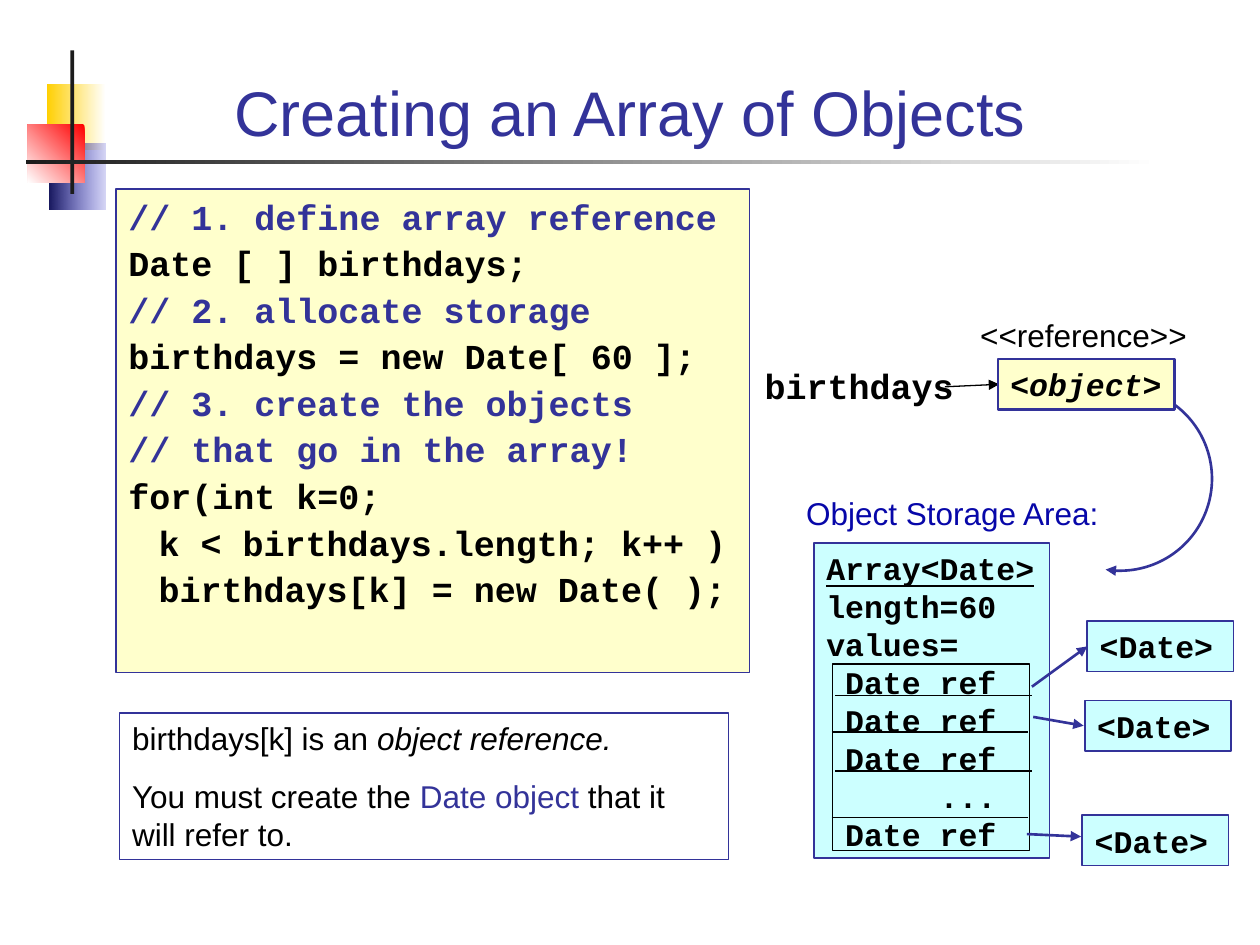
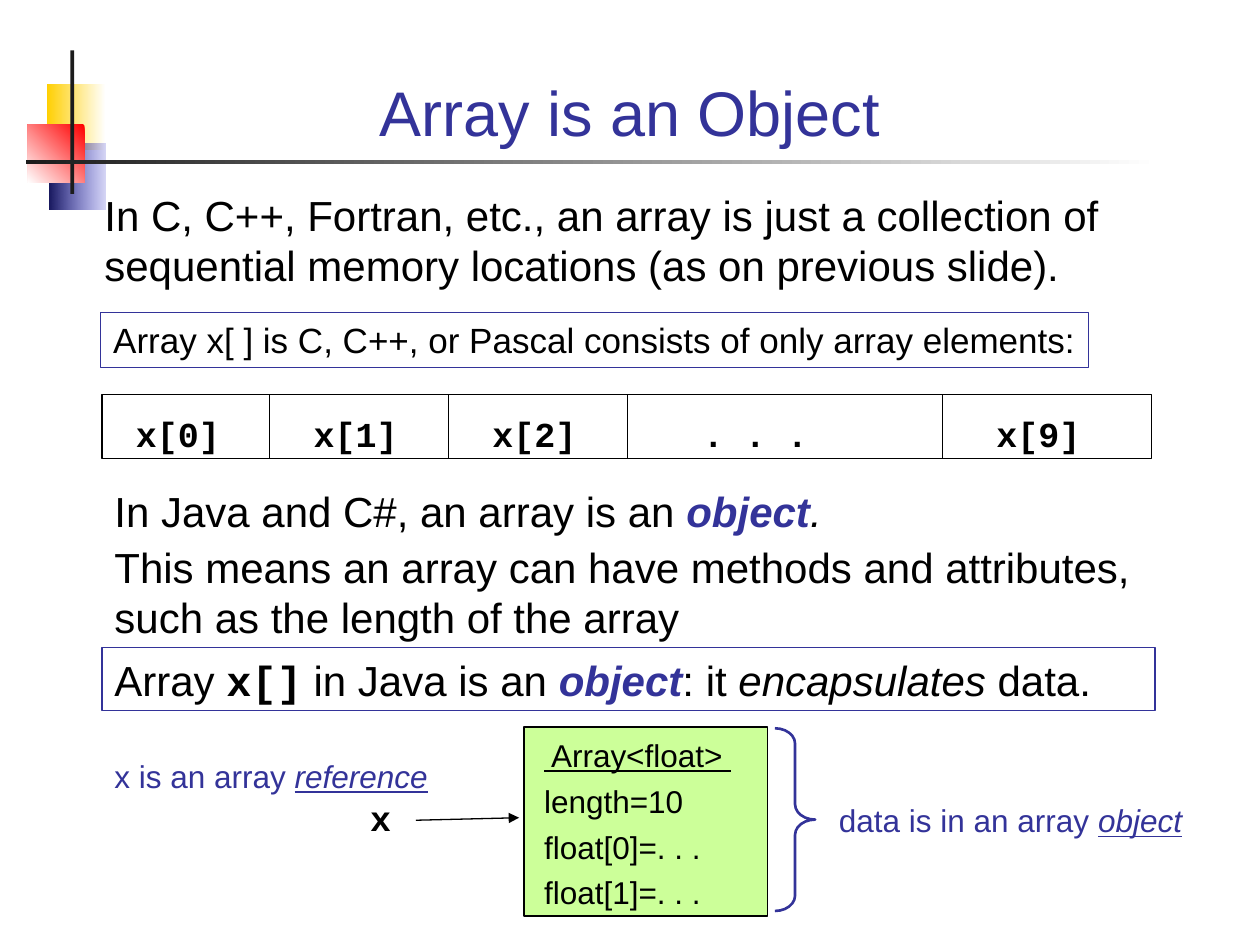
from lxml import etree
from pptx import Presentation
from pptx.dml.color import RGBColor
from pptx.enum.shapes import MSO_CONNECTOR, MSO_SHAPE
from pptx.enum.text import MSO_ANCHOR, PP_ALIGN
from pptx.oxml.ns import qn
from pptx.util import Pt

LEFT, MID = PP_ALIGN.LEFT, PP_ALIGN.CENTER
TOP, BASE = MSO_ANCHOR.TOP, MSO_ANCHOR.BOTTOM
RECT, ARC, BRACE = MSO_SHAPE.RECTANGLE, MSO_SHAPE.ARC, MSO_SHAPE.RIGHT_BRACE
STRAIGHT = MSO_CONNECTOR.STRAIGHT

# Shared style: 100 px to the inch
PX = 9144
SANS, MONO = "Arial", "Courier New"
NAVY, BLACK, DARK = "333399", "000000", "1C1C1C"
CREAM, AQUA, LIME, BLUE = "FFFFCC", "CCFFFF", "CCFF99", "0707A9"
LEAD = 1.205  # line height per point of text size
CODE = dict(font=MONO, bold=True)
TITLE_BOX = (67, 28, 866, 95)

# Corner squares and rules: box, first colour, last colour, angle
DECOR = [
    ((37, 67, 47, 52), "FFFFFF", "FFCF01", 180),
    ((39, 114, 45, 52), "3333CC", "17175E", 180),
    ((22, 99, 45, 46), "FF0000", "FFFFFF", 225),
    ((56, 40, 3, 114), DARK, DARK, 0),
    ((21, 127, 899, 3), "FFFFFF", DARK, 180),
]
FAINT = 1  # index of the square with a see-through first colour

# Slide 1 content; a run is a text or (text, format)
NOTE = dict(color=NAVY)
SLANT = dict(italic=True)
STRONG = dict(color=NAVY, bold=True, italic=True)
LINK = dict(italic=True, underline=True)

STEPS = [
    [("// 1. define array reference", NOTE)],
    "Date [ ] birthdays;",
    [("// 2. allocate storage", NOTE)],
    "birthdays = new Date[ 60 ];",
    [("// 3. create the objects", NOTE)],
    [("// that go in the array!", NOTE)],
    "for(int k=0;",
    "k < birthdays.length; k++ )",
    "birthdays[k] = new Date( );",
]
STEP_DENTS = [0] * 7 + [24] * 2
REMARK = [
    ["birthdays[k] is an ", ("object reference.", SLANT)],
    ["You must create the ", ("Date object", NOTE), " that it will refer to."],
]
STORE = [[("Array<Date>", dict(underline=True))], "length=60", "values=",
         "Date ref", "Date ref", "Date ref", "...", "Date ref"]
STORE_DENTS = [0, 0, 0, 15, 15, 15, 90, 15]
RULES = [(663, 552), (660, 581), (663, 612), (660, 649)]
RULE_WIDTH = 156
DATES = [(863, 493), (861, 556), (859, 647)]
REFS = [(819, 545, 863, 513), (820, 569, 860, 576), (815, 662, 858, 664)]

# Slide 2 content
INTRO = ["In C, C++, Fortran, etc., an array is just a collection of "
         "sequential memory locations (as on previous slide)."]
PLAIN = ["Array x[ ] is C, C++, or Pascal consists of only array elements:"]
CELLS = [("x[0]", 98, 87), ("x[1]", 239, 87), ("x[2]", 381, 87),
         (". . .", 548, 120), ("x[9]", 781, 87)]
WALLS = [214, 356, 498, 748]
ROW = (81, 313, 833, 51)
CLAIM = [
    ["In Java and C#, an array is an ", ("object", STRONG), (".", SLANT)],
    "This means an array can have methods and attributes, "
    "such as the length of the array",
]
SUMMARY = [["Array ", ("x[]", CODE), " in Java is an ", ("object", STRONG),
            ": it ", ("encapsulates", SLANT), " data."]]
FIELDS = [[(" Array<float> ", dict(underline=True))],
          "length=10", "float[0]=. . .", "float[1]=. . ."]
CAPTIONS = [("x is an array ", "reference", (81, 596, 276, 40)),
            ("data is in an array ", "object", (656, 631, 312, 40))]


def tint(code):
    return RGBColor.from_string(code)


def scale(nums):
    return [n * PX for n in nums]


def stroke(shape, color, width, arrow=False):
    shape.line.color.rgb = tint(color)
    shape.line.width = Pt(width)
    if arrow:
        ln = shape.element.xpath(".//a:ln")[0]
        etree.SubElement(ln, qn("a:tailEnd"), type="triangle")


def form(slide, kind, box, fill=None, line=None, width=0.75, arrow=False):
    shape = slide.shapes.add_shape(kind, *scale(box))
    shape.shadow.inherit = False
    if fill:
        shape.fill.solid()
        shape.fill.fore_color.rgb = tint(fill)
    else:
        shape.fill.background()
    if line:
        stroke(shape, line, width, arrow)
    else:
        shape.line.fill.background()
    return shape


def link(slide, ends, color=BLACK, width=0.75, arrow=False):
    line = slide.shapes.add_connector(STRAIGHT, *scale(ends))
    stroke(line, color, width, arrow)
    etree.SubElement(line.element.spPr, qn("a:effectLst"))


def style(run, size=18, font=SANS, color=BLACK, bold=False, italic=False,
          underline=False):
    face = run.font
    face.size, face.name, face.color.rgb = Pt(size), font, tint(color)
    face.bold, face.italic, face.underline = bold, italic, underline


def write(shape, paras, size=18, before=0, align=LEFT, anchor=TOP, wrap=True,
          dents=None, **look):
    frame = shape.text_frame
    frame.word_wrap, frame.vertical_anchor = wrap, anchor
    for i, runs in enumerate(paras):
        para = frame.paragraphs[0] if i == 0 else frame.add_paragraph()
        para.alignment = align
        para.space_before = Pt(before)
        para.line_spacing = Pt(size * LEAD)
        if dents:
            props = shape.element.xpath(".//a:pPr")[-1]
            props.set("marL", str(dents[i] * PX))
        for part in [runs] if isinstance(runs, str) else runs:
            words, extra = (part, {}) if isinstance(part, str) else part
            run = para.add_run()
            run.text = words
            style(run, **{"size": size, **look, **extra})


def label(slide, paras, box, **look):
    write(slide.shapes.add_textbox(*scale(box)), paras, **look)


def panel(slide, paras, box, fill=None, line=NAVY, width=0.75, **look):
    write(form(slide, RECT, box, fill, line, width), paras, **look)


def decorate(slide, layout):
    """Draw the corner motif and move it to the shared layout."""
    for i, (box, first, last, angle) in enumerate(DECOR):
        shape = form(slide, RECT, box, fill=first)
        if first != last:
            shape.fill.gradient()
            shape.fill.gradient_angle = angle
            for stop, color in zip(shape.fill.gradient_stops, (first, last)):
                stop.color.rgb = tint(color)
        if i == FAINT:
            color = shape.element.xpath(".//a:gs/a:srgbClr")[0]
            etree.SubElement(color, qn("a:alpha"), val="20000")
        shape.element.xpath(".//p:cNvPr")[0].set("id", str(100 + i))
        layout.shapes.element.insert(2 + i, shape.element)


def start(deck, title):
    slide = deck.slides.add_slide(deck.slide_layouts[5])
    head = slide.shapes.title
    head.left, head.top, head.width, head.height = scale(TITLE_BOX)
    write(head, [title], size=36, color=NAVY, align=MID, anchor=BASE)
    return slide


def create(slide):
    # Code and remark
    panel(slide, STEPS, (92, 150, 503, 384), fill=CREAM, size=20, before=2.5,
          dents=STEP_DENTS, **CODE)
    panel(slide, REMARK, (95, 566, 483, 116), before=11.2)

    # Variable and its reference
    link(slide, (750, 307, 793, 305), arrow=True)
    label(slide, ["birthdays"], (597, 284, 170, 44), size=20, before=12.5,
          wrap=False, **CODE)
    arc = form(slide, ARC, (816, 307, 146, 146), line=NAVY, width=1.5,
               arrow=True)
    for i, angle in enumerate((270, 99)):
        arc.adjustments[i] = angle * 0.6
    panel(slide, [["<", ("object", SLANT), ">"]], (792, 285, 140, 40),
          fill=CREAM, width=1.5, before=4.5, wrap=False, **CODE)
    label(slide, ["<<reference>>"], (768, 246, 184, 40), before=11.2,
          align=MID, wrap=False)

    # Storage area
    label(slide, ["Object Storage Area:"], (630, 387, 277, 40), before=11.2,
          color=BLUE)
    panel(slide, STORE, (646, 431, 187, 250), fill=AQUA, dents=STORE_DENTS,
          **CODE)
    form(slide, RECT, (661, 527, 156, 148), line=BLACK)
    for x, y in RULES:
        link(slide, (x, y, x + RULE_WIDTH, y))
    for x, y in DATES:
        panel(slide, ["<Date>"], (x, y, 116, 40), fill=AQUA, width=1,
              before=11.2, **CODE)
    for ends in REFS:
        link(slide, ends, color=NAVY, width=1.5, arrow=True)


def explain(slide):
    # Statements
    label(slide, INTRO, (73, 145, 839, 90), size=24, before=3)
    panel(slide, PLAIN, (80, 248, 784, 44), size=20, before=12.5, wrap=False)
    label(slide, CLAIM, (81, 380, 850, 134), size=24, before=3)
    panel(slide, SUMMARY, (81, 514, 836, 50), width=1, size=24, before=3)

    # Row of elements
    form(slide, RECT, ROW, line=BLACK)
    top, low = ROW[1], ROW[1] + ROW[3]
    for x in WALLS:
        link(slide, (x, top, x, low))
    for name, x, wide in CELLS:
        label(slide, [name], (x, top + 9, wide, 44), size=20, before=12.5,
              wrap=False, **CODE)

    # Reference, object and brace
    form(slide, RECT, (416, 577, 193, 150), fill=LIME, line=BLACK)
    label(slide, FIELDS, (422, 579, 187, 149), before=4.5)
    label(slide, ["x"], (284, 627, 36, 44), size=20, before=12.5, wrap=False,
          **CODE)
    link(slide, (330, 651, 412, 649), arrow=True)
    brace = form(slide, BRACE, (615, 578, 32, 145), line=NAVY, width=1.5)
    brace.adjustments[0] = 0.38
    for lead, term, box in CAPTIONS:
        label(slide, [[lead, (term, LINK)]], box, before=11.2, color=NAVY)


def main():
    deck = Presentation()
    deck.slide_width, deck.slide_height = scale((1000, 750))
    first = start(deck, "Creating an Array of Objects")
    decorate(first, first.slide_layout)
    create(first)
    explain(start(deck, "Array is an Object"))
    deck.save("out.pptx")


if __name__ == "__main__":
    main()
